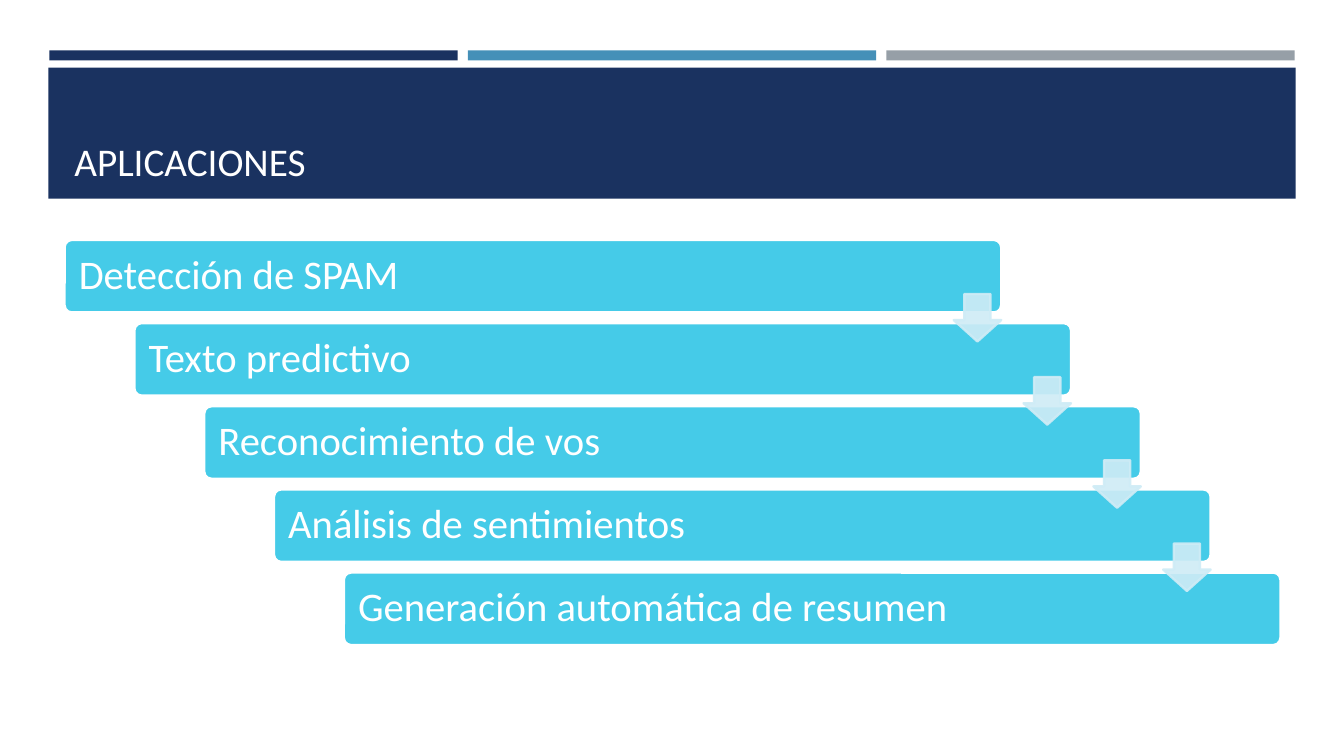
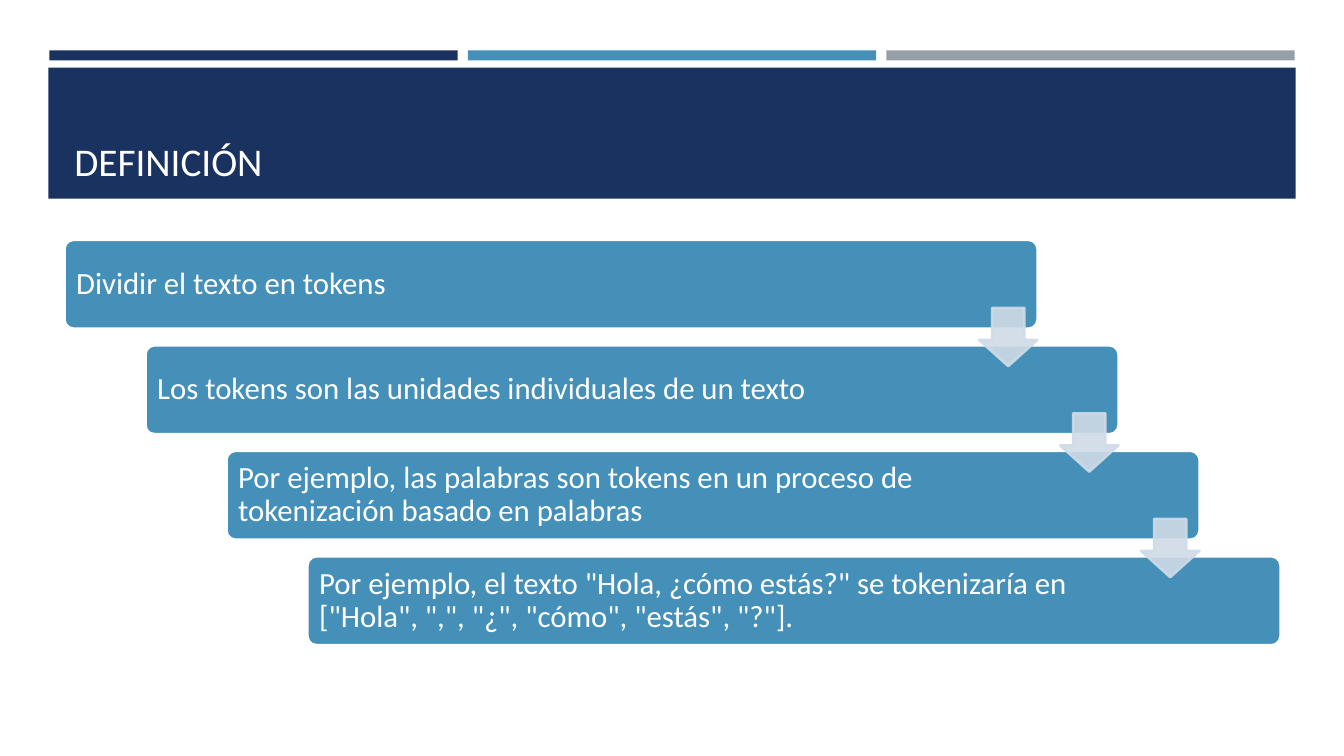
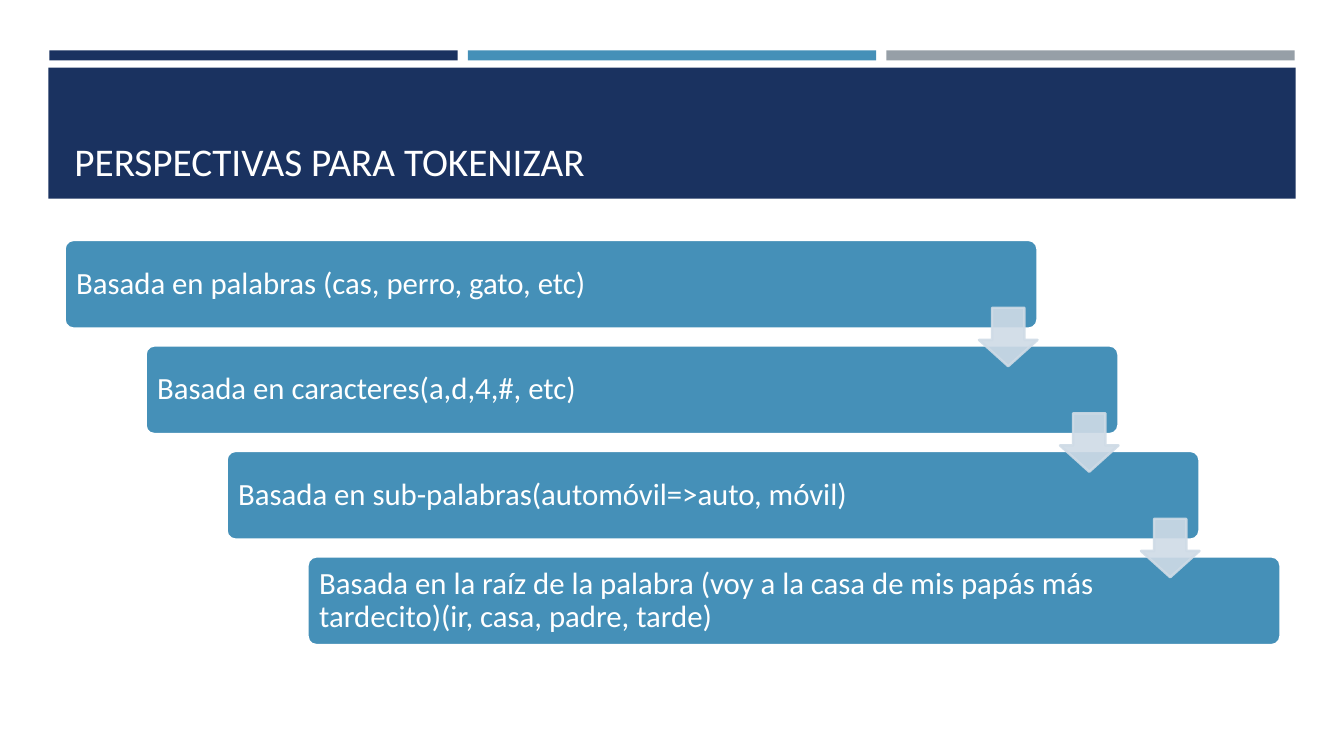
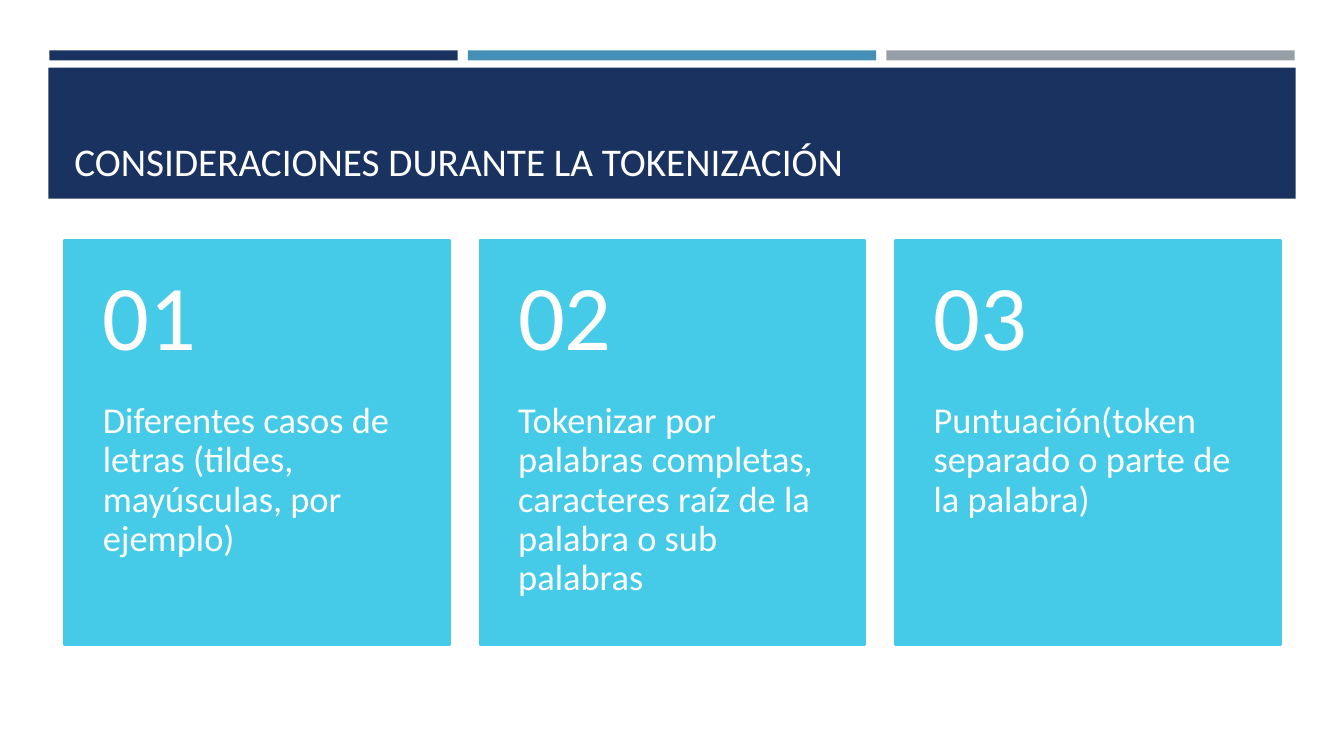
from lxml import etree
from pptx import Presentation
from pptx import util as u
from pptx.dml.color import RGBColor
from pptx.enum import shapes, text
from pptx.oxml.ns import qn

PX = 9144
FONT = "Calibri"
KIND = shapes.MSO_SHAPE
ANCHOR = text.MSO_ANCHOR
HUE = {
    "navy": "1A3260",
    "blue": "4590B8",
    "gray": "969FA7",
    "cyan": "45CBE8",
    "ice": "CFECF6",
    "mist": "CFDBE6",
    "white": "FFFFFF",
}
LEFT, TOP, WIDE, HIGH = 64, 238, 1206, 402


def draw(slide, kind, area, fill, line=None):
    shape = slide.shapes.add_shape(kind, *[u.Emu(round(n * PX)) for n in area])
    shape.shadow.inherit = False
    shape.fill.solid()
    shape.fill.fore_color.rgb = RGBColor.from_string(HUE[fill])
    if line:
        shape.line.color.rgb = RGBColor.from_string(HUE[line])
        shape.line.width = u.Pt(1.75)
    else:
        shape.line.fill.background()
    return shape


def write(shape, words, size, anchor, pads, space=0.9):
    frame = shape.text_frame
    frame.word_wrap = True
    frame.vertical_anchor = anchor
    (frame.margin_left, frame.margin_top,
     frame.margin_right, frame.margin_bottom) = [u.Emu(n * PX) for n in pads]
    para = frame.paragraphs[0]
    para.text = words
    para.alignment = text.PP_ALIGN.LEFT
    para.line_spacing = space
    para.font.size = u.Pt(size)
    para.font.name = FONT
    para.font.color.rgb = RGBColor.from_string(HUE["white"])


stairs = [
    {
        "title": "APLICACIONES", "fill": "cyan", "tint": "ice",
        "bar": (929, 72), "arrow": 47, "size": 29, "pad": 12, "right": 129,
        "items": [
            "Detección de SPAM",
            "Texto predictivo",
            "Reconocimiento de vos",
            "Análisis de sentimientos",
            "Generación automática de resumen",
        ],
    },
    {
        "title": "DEFINICIÓN", "fill": "blue", "tint": "mist",
        "bar": (965, 88), "arrow": 58, "size": 22, "pad": 9, "right": 148,
        "items": [
            "Dividir el texto en tokens",
            "Los tokens son las unidades individuales de un texto",
            "Por ejemplo, las palabras son tokens en un proceso de tokenización basado en palabras",
            'Por ejemplo, el texto "Hola, ¿cómo estás?" se tokenizaría en ["Hola", ",", "¿", "cómo", "estás", "?"].',
        ],
    },
]
stairs.append({
    **stairs[1],
    "title": "PERSPECTIVAS PARA TOKENIZAR",
    "items": [
        "Basada en palabras (cas, perro, gato, etc)",
        "Basada en caracteres(a,d,4,#, etc)",
        "Basada en sub-palabras(automóvil=>auto, móvil)",
        "Basada en la raíz de la palabra (voy a la casa de mis papás más tardecito)(ir, casa, padre, tarde)",
    ],
})
cards = [
    "Diferentes casos de letras (tildes, mayúsculas, por ejemplo)",
    "Tokenizar por palabras completas, caracteres raíz de la palabra o sub palabras",
    "Puntuación(token separado o parte de la palabra)",
]

deck = Presentation()
deck.slide_width = u.Inches(13.33)
deck.slide_height = u.Inches(7.5)

titles = [stair["title"] for stair in stairs]
titles.append("CONSIDERACIONES DURANTE LA TOKENIZACIÓN")
slides = []
for title in titles:
    slide = deck.slides.add_slide(deck.slide_layouts[6])
    for i, hue in enumerate(["navy", "blue", "gray"]):
        draw(slide, KIND.RECTANGLE, (49 + 415 * i, 50, 405, 10), hue)
    draw(slide, KIND.RECTANGLE, (48, 67, 1237, 130), "navy")
    box = slide.shapes.add_textbox(*[u.Emu(n * PX) for n in (64, 77, 1206, 111)])
    write(box, title, 28, ANCHOR.BOTTOM, (10, 5, 10, 5), 1.0)
    slides.append(slide)

for slide, stair in zip(slides, stairs):
    wide, high = stair["bar"]
    side, pad = stair["arrow"], stair["pad"]
    last = len(stair["items"]) - 1
    across, down = (WIDE - wide) / last, (HIGH - high) / last
    for i, words in enumerate(stair["items"]):
        area = (LEFT + across * i, TOP + down * i, wide, high)
        bar = draw(slide, KIND.ROUNDED_RECTANGLE, area, stair["fill"], "white")
        bar.adjustments[0] = 0.1
        write(bar, words, stair["size"], ANCHOR.MIDDLE, (pad, pad, stair["right"], pad))
    for i in range(last):
        x = LEFT + across * i + wide - side
        y = TOP + down * i + (high + down - side) / 2
        arrow = draw(slide, KIND.DOWN_ARROW, (x, y, side, side), stair["tint"], stair["tint"])
        arrow.adjustments[0] = 0.55
        arrow.adjustments[1] = 0.45
        for color in arrow._element.spPr.iter(qn("a:srgbClr")):
            etree.SubElement(color, qn("a:alpha")).set("val", "90000")

slide = slides[-1]
for i, words in enumerate(cards):
    x = LEFT + 412 * i
    draw(slide, KIND.RECTANGLE, (x, TOP, 382, HIGH), "cyan", "cyan")
    parts = [
        (words, 26, ANCHOR.TOP, 399, 241, (38, 0, 38, 36)),
        (f"{i + 1:02}", 66, ANCHOR.MIDDLE, TOP, 161, (38, 18, 38, 18)),
    ]
    for label, size, anchor, y, high, pads in parts:
        box = slide.shapes.add_textbox(*[u.Emu(n * PX) for n in (x, y, 382, high)])
        write(box, label, size, anchor, pads)

deck.save("out.pptx")
